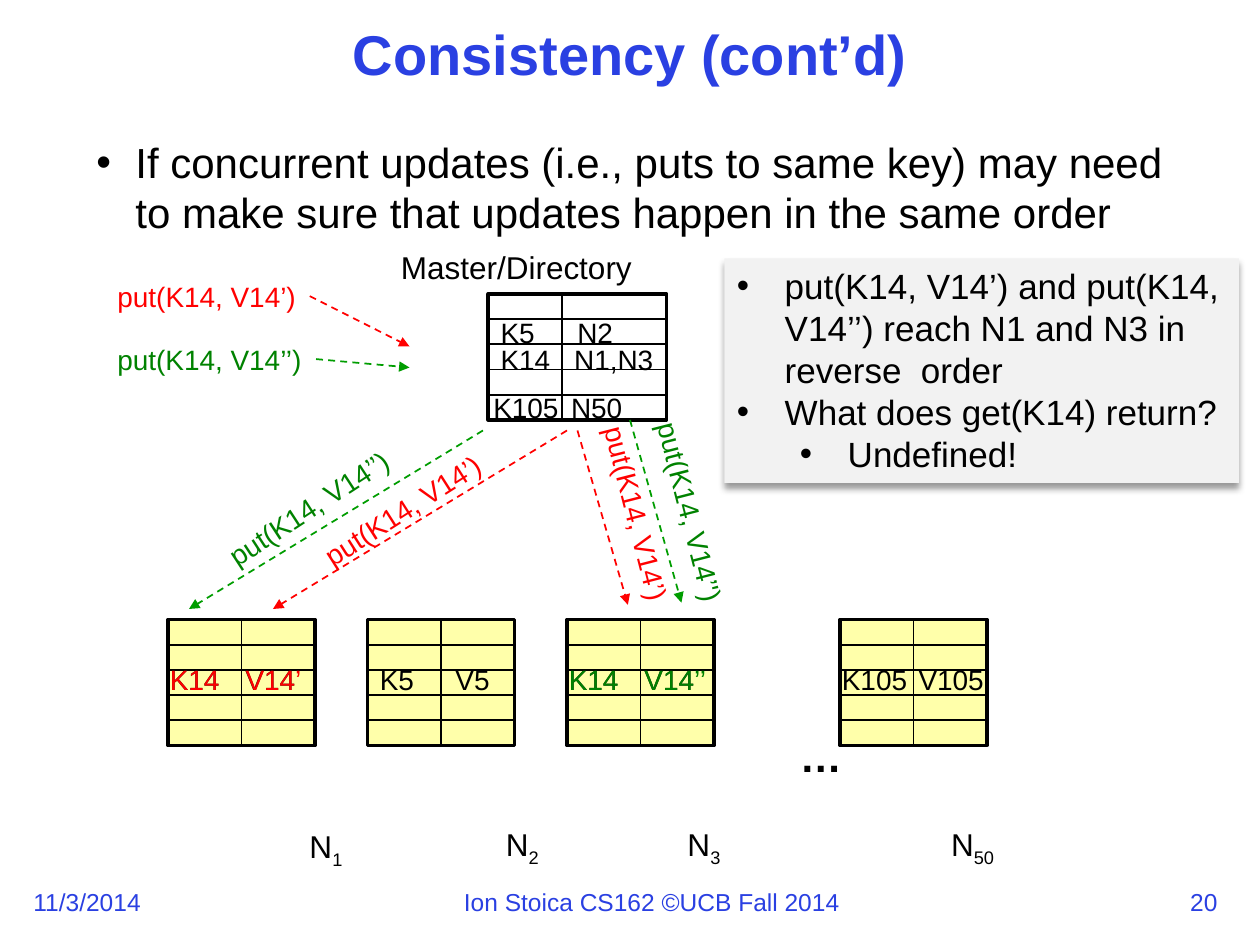
import pptx
import pptx.util
import pptx.dml.color
import pptx.enum.dml
import pptx.enum.shapes
import pptx.enum.text
import pptx.oxml
import pptx.oxml.ns
from dataclasses import dataclass
from lxml import etree

Pt = pptx.util.Pt
Auto = pptx.enum.text.MSO_AUTO_SIZE
Align = pptx.enum.text.PP_ALIGN
Anchor = pptx.enum.text.MSO_ANCHOR
qn = pptx.oxml.ns.qn


@dataclass
class Theme:
    font: str = "Arial"
    blue: str = "2A40E2"
    black: str = "000000"
    red: str = "FF0000"
    green: str = "008200"
    leaf: str = "009D00"
    cream: str = "FFFFAA"
    white: str = "FFFFFF"
    gray: str = "F2F2F2"
    title: int = 32
    body: int = 24
    note: int = 20
    label: int = 18
    cell: int = 16
    foot: int = 14


class Deck:
    cols, rows = 120, 90

    def __init__(self, theme):
        self.theme = theme
        self.file = pptx.Presentation()
        self.file.slide_width = pptx.util.Inches(10)
        self.file.slide_height = pptx.util.Inches(7.5)
        self.slide = self.file.slides.add_slide(self.file.slide_layouts[6])
        self.shapes = self.slide.shapes

    def grid(self, *spots):
        wide = self.file.slide_width / self.cols
        high = self.file.slide_height / self.rows
        return [round(s * (high if i % 2 else wide)) for i, s in enumerate(spots)]

    def color(self, code):
        return pptx.dml.color.RGBColor.from_string(code)

    def style(self, run, size, color, bold=False):
        run.font.name = self.theme.font
        run.font.size = Pt(size)
        run.font.bold = bold
        run.font.color.rgb = self.color(color)

    def text(self, words, box, size, color, bold=False, align=Align.LEFT,
             wrap=False, turn=0):
        item = self.shapes.add_textbox(*self.grid(*box))
        item.rotation = turn
        frame = item.text_frame
        frame.word_wrap = wrap
        frame.auto_size = Auto.NONE if wrap else Auto.SHAPE_TO_FIT_TEXT
        frame.text = words
        para = frame.paragraphs[0]
        para.alignment = align
        self.style(para.runs[0], size, color, bold)
        return item

    def cell(self, words, x, y, wide, color=None, turn=0):
        theme = self.theme
        self.text(words, (x, y, wide, 4.4), theme.cell, color or theme.black, turn=turn)

    def node(self, sub, x, y, wide):
        theme = self.theme
        item = self.text("N", (x, y, wide, 4.8), theme.label, theme.black)
        run = item.text_frame.paragraphs[0].add_run()
        run.text = sub
        self.style(run, theme.label, theme.black)
        run.font._element.set("baseline", "-25000")

    def bullet(self, para, left, hang):
        props = para._p.get_or_add_pPr()
        props.set("marL", str(pptx.util.Inches(left)))
        props.set("indent", str(-pptx.util.Inches(hang)))
        etree.SubElement(props, qn("a:buFont")).set("typeface", self.theme.font)
        etree.SubElement(props, qn("a:buChar")).set("char", "•")

    def line(self, start, end, color, width=1, arrow=False):
        item = self.shapes.add_connector(
            pptx.enum.shapes.MSO_CONNECTOR.STRAIGHT, *self.grid(*start, *end))
        item.line.color.rgb = self.color(color)
        item.line.width = Pt(width)
        if arrow:
            item.line.dash_style = pptx.enum.dml.MSO_LINE.DASH
            tip = etree.SubElement(item.line._get_or_add_ln(), qn("a:tailEnd"))
            tip.set("type", "triangle")
        etree.SubElement(item._element.spPr, qn("a:effectLst"))

    def rect(self, box, fill):
        item = self.shapes.add_shape(
            pptx.enum.shapes.MSO_SHAPE.RECTANGLE, *self.grid(*box))
        item.shadow.inherit = False
        item.fill.solid()
        item.fill.fore_color.rgb = self.color(fill)
        return item

    def store(self, x, y, wide, fill, high=12, split=7, count=5):
        black = self.theme.black
        item = self.rect((x, y, wide, high), fill)
        item.line.color.rgb = self.color(black)
        item.line.width = Pt(2)
        self.line((x + split, y), (x + split, y + high), black)
        for row in range(count):
            level = y + row * high / count
            self.line((x, level), (x + wide, level), black)

    def note(self, box, items):
        theme = self.theme
        item = self.rect(box, theme.gray)
        item.line.fill.background()
        effect = item._element.spPr.find(qn("a:effectLst"))
        shade = etree.SubElement(effect, qn("a:outerShdw"), blurRad=str(Pt(4)),
                                 dist=str(Pt(3)), dir="5400000", rotWithShape="0")
        tint = etree.SubElement(shade, qn("a:srgbClr"), val=theme.black)
        etree.SubElement(tint, qn("a:alpha"), val="40000")
        frame = item.text_frame
        frame.word_wrap = True
        frame.vertical_anchor = Anchor.TOP
        frame.text = "\n".join(words for words, level in items)
        for para, (words, level) in zip(frame.paragraphs, items):
            para.level = level
            para.alignment = Align.LEFT
            self.bullet(para, 0.38 + 0.5 * level, 0.38)
            self.style(para.runs[0], theme.note, theme.black)


def main():
    theme = Theme()
    deck = Deck(theme)
    red, green, leaf = theme.red, theme.green, theme.leaf

    deck.text("11/3/2014", (2, 83.9, 12.7, 4.1), theme.foot, theme.blue)
    deck.text("Ion Stoica CS162 ©UCB Fall 2014", (43, 83.9, 38.5, 4.1),
              theme.foot, theme.blue)
    deck.text("20", (112, 83.9, 5.3, 4.1), theme.foot, theme.blue, align=Align.CENTER)
    head = deck.text("Consistency (cont’d)", (13, 2, 94, 7), theme.title, theme.blue,
                     bold=True, align=Align.CENTER, wrap=True)
    head.text_frame.vertical_anchor = Anchor.MIDDLE
    head.text_frame.paragraphs[0].line_spacing = 0.9
    body = deck.text("If concurrent updates (i.e., puts to same key) may need to make "
                     "sure that updates happen in the same order",
                     (8, 12.4, 104, 66.6), theme.body, theme.black, wrap=True)
    deck.bullet(body.text_frame.paragraphs[0], 0.31, 0.31)

    for x in (16, 35, 54, 80):
        deck.store(x, 59, 14, theme.cream)
    deck.text("…", (75, 69, 6.5, 6), theme.body, theme.black, bold=True)
    for sub, x, y, wide in (("1", 28.3, 78.2, 5.8), ("2", 47, 78, 5.8),
                            ("3", 64.3, 78, 5.8), ("50", 89.4, 78, 6.8)):
        deck.node(sub, x, y, wide)

    deck.store(46.5, 28, 17, theme.white)
    deck.text("Master/Directory", (37, 23, 24.6, 4.8), theme.label, theme.black)
    for words, x, y, wide in (("K5", 46.5, 29.5, 5.8), ("N2", 53.8, 29.5, 6),
                              ("K14", 46.5, 32, 7.2), ("N1,N3", 53.5, 32, 10),
                              ("K105", 45.8, 36.6, 8.8), ("N50", 53.2, 36.6, 7.3)):
        deck.cell(words, x, y, wide)

    for words, x, wide, color in (
            ("K14", 15, 7.2, None), ("V14", 22.2, 7.2, None),
            ("K5", 35, 5.8, None), ("V5", 42.2, 5.8, None),
            ("K14", 53, 7.2, None), ("V14", 60.2, 7.2, None),
            ("K105", 79, 8.8, None), ("V105", 86.3, 8.8, None),
            ("K14", 15, 7.2, red), ("V14’", 22.2, 7.8, red),
            ("K14", 53, 7.2, green), ("V14’’", 60.2, 8.4, green)):
        deck.cell(words, x, 62.5, wide, color)

    once, twice = "put(K14, V14’)", "put(K14, V14’’)"
    for words, x, y, wide, color, turn, ink, start, end in (
            (once, 10, 26, 19.6, red, 0, red, (29.5, 28.2), (39, 33)),
            (twice, 10, 32, 20.2, green, 0, leaf, (30.1, 34.2), (39, 35)),
            (once, 50.8, 46.9, 19.8, red, 75.6, red, (55, 41), (59.8, 57.6)),
            (twice, 19.4, 46.1, 20.2, green, 326.9, leaf, (46, 41), (18, 58)),
            (once, 28.6, 46.3, 19.7, red, 327.4, red, (54, 41), (26, 58)),
            ("put(K14, V14’')", 55.7, 46.7, 20.2, green, 75.6, leaf,
             (60, 40), (64.9, 57.4))):
        deck.cell(words, x, y, wide, color, turn)
        deck.line(start, end, ink, arrow=True)

    deck.note((69, 24.6, 49, 21.4), (
        ("put(K14, V14’) and put(K14, V14’’) reach N1 and N3 in reverse  order", 0),
        ("What does get(K14) return?", 0),
        ("Undefined!", 1)))
    deck.file.save("out.pptx")


if __name__ == "__main__":
    main()
